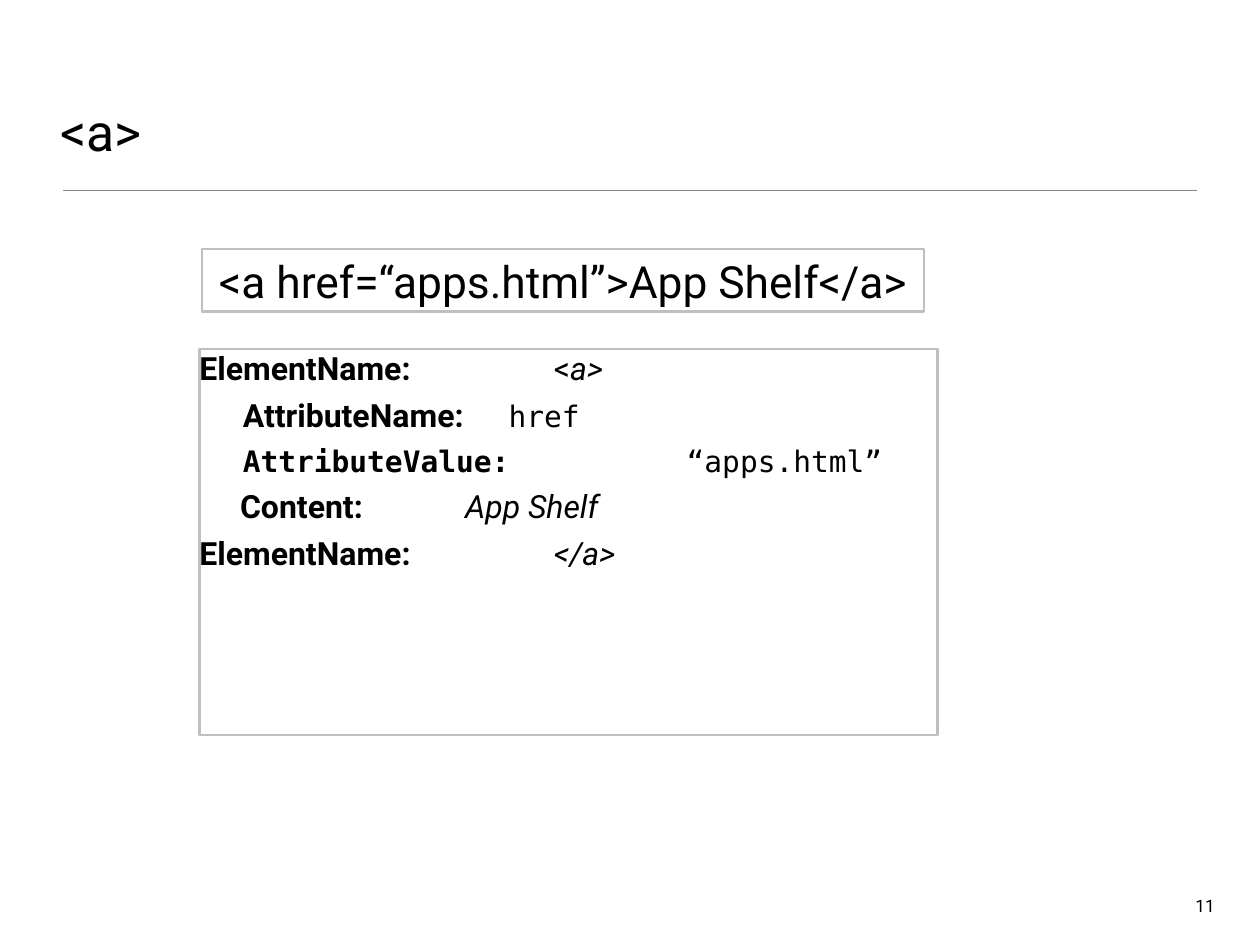
from lxml import etree
from pptx import Presentation
from pptx.dml.color import RGBColor
from pptx.enum.shapes import MSO_CONNECTOR, MSO_SHAPE
from pptx.enum.text import MSO_ANCHOR, PP_ALIGN
from pptx.oxml.ns import qn
from pptx.util import Inches, Pt

LEFT, CENTER, RIGHT = PP_ALIGN.LEFT, PP_ALIGN.CENTER, PP_ALIGN.RIGHT
TOP, MIDDLE, BOTTOM = MSO_ANCHOR.TOP, MSO_ANCHOR.MIDDLE, MSO_ANCHOR.BOTTOM
RECTANGLE, STRAIGHT = MSO_SHAPE.RECTANGLE, MSO_CONNECTOR.STRAIGHT

BLACK = RGBColor(0x00, 0x00, 0x00)
WHITE = RGBColor(0xFF, 0xFF, 0xFF)
RULE_GRAY = RGBColor(0x88, 0x88, 0x88)
BORDER_GRAY = RGBColor(0xBF, 0xBF, 0xBF)

SANS, MONO = "Roboto", "DejaVu Sans Mono"
BOLD = {"size": Pt(26), "name": SANS, "bold": True}
ITALIC = {"size": Pt(26), "name": SANS, "italic": True}
PLAIN = {"size": Pt(26), "name": SANS}
MONO_BOLD = {"size": Pt(24), "name": MONO, "bold": True}
MONO_PLAIN = {"size": Pt(24), "name": MONO}

ANATOMY = [
    ([4], [("ElementName:\t", BOLD), ("<", PLAIN), ("a>", ITALIC)]),
    ([0.49, 3.49], [("\tAttributeName:\t", BOLD), ("href", MONO_PLAIN)]),
    ([0.49, 5.5], [("\tAttributeValue:\t", MONO_BOLD), ("“apps.html”", MONO_PLAIN)]),
    ([0.46, 3], [("\tContent:\t", BOLD), ("App Shelf", ITALIC)]),
    ([4], [("ElementName:\t", BOLD), ("</a>", ITALIC)]),
]


def set_frame(tf, anchor, inset, wrap):
    tf.word_wrap = wrap
    tf.vertical_anchor = anchor
    for side in ("left", "top", "right", "bottom"):
        setattr(tf, f"margin_{side}", Inches(inset))


def add_run(p, text, font):
    r = p.add_run()
    r.text = text
    r.font.color.rgb = BLACK
    for name, value in font.items():
        setattr(r.font, name, value)


def set_tabs(p, stops):
    tab_list = etree.SubElement(p._p.get_or_add_pPr(), qn("a:tabLst"))
    for stop in stops:
        etree.SubElement(tab_list, qn("a:tab"), pos=str(Inches(stop)), algn="l")


def add_label(s, box, text, size, align, anchor, inset, wrap):
    sp = s.shapes.add_textbox(*map(Inches, box))
    set_frame(sp.text_frame, anchor, inset, wrap)
    p = sp.text_frame.paragraphs[0]
    p.alignment = align
    add_run(p, text, {"size": Pt(size), "name": SANS})


def add_panel(s, box, anchor, inset, wrap):
    sp = s.shapes.add_shape(RECTANGLE, *map(Inches, box))
    sp.shadow.inherit = False
    sp.fill.solid()
    sp.fill.fore_color.rgb = WHITE
    sp.line.color.rgb = BORDER_GRAY
    sp.line.width = Pt(2)
    set_frame(sp.text_frame, anchor, inset, wrap)
    return sp.text_frame


def add_rule(s, x1, x2, y):
    line = s.shapes.add_connector(STRAIGHT, Inches(x1), Inches(y), Inches(x2), Inches(y))
    line.line.color.rgb = RULE_GRAY
    line.line.width = Pt(1)
    etree.SubElement(line._element.spPr, qn("a:effectLst"))


def add_anatomy(s, box):
    tf = add_panel(s, box, TOP, 0, True)
    for i, (stops, runs) in enumerate(ANATOMY):
        p = tf.add_paragraph() if i else tf.paragraphs[0]
        p.alignment = LEFT
        p.space_before = Pt(7)
        set_tabs(p, stops)
        for text, font in runs:
            add_run(p, text, font)


def add_code(s, box, text):
    p = add_panel(s, box, MIDDLE, 0.05, False).paragraphs[0]
    p.alignment = CENTER
    add_run(p, text, {"size": Pt(36), "name": SANS})


def main():
    prs = Presentation()
    prs.slide_width, prs.slide_height = Inches(14.22), Inches(10.67)
    s = prs.slides.add_slide(prs.slide_layouts[6])
    add_rule(s, 0.71, 13.51, 2.15)
    add_label(s, (13.42, 10.06, 0.34, 0.33), "11", 14, RIGHT, TOP, 0.05, False)
    add_label(s, (0.62, 0.36, 12.97, 1.53), "<a>", 42, LEFT, BOTTOM, 0.06, True)
    add_anatomy(s, (2.25, 3.94, 8.33, 4.36))
    add_code(s, (2.28, 2.81, 8.15, 0.71), "<a href=“apps.html”>App Shelf</a>")
    prs.save("out.pptx")


if __name__ == "__main__":
    main()
